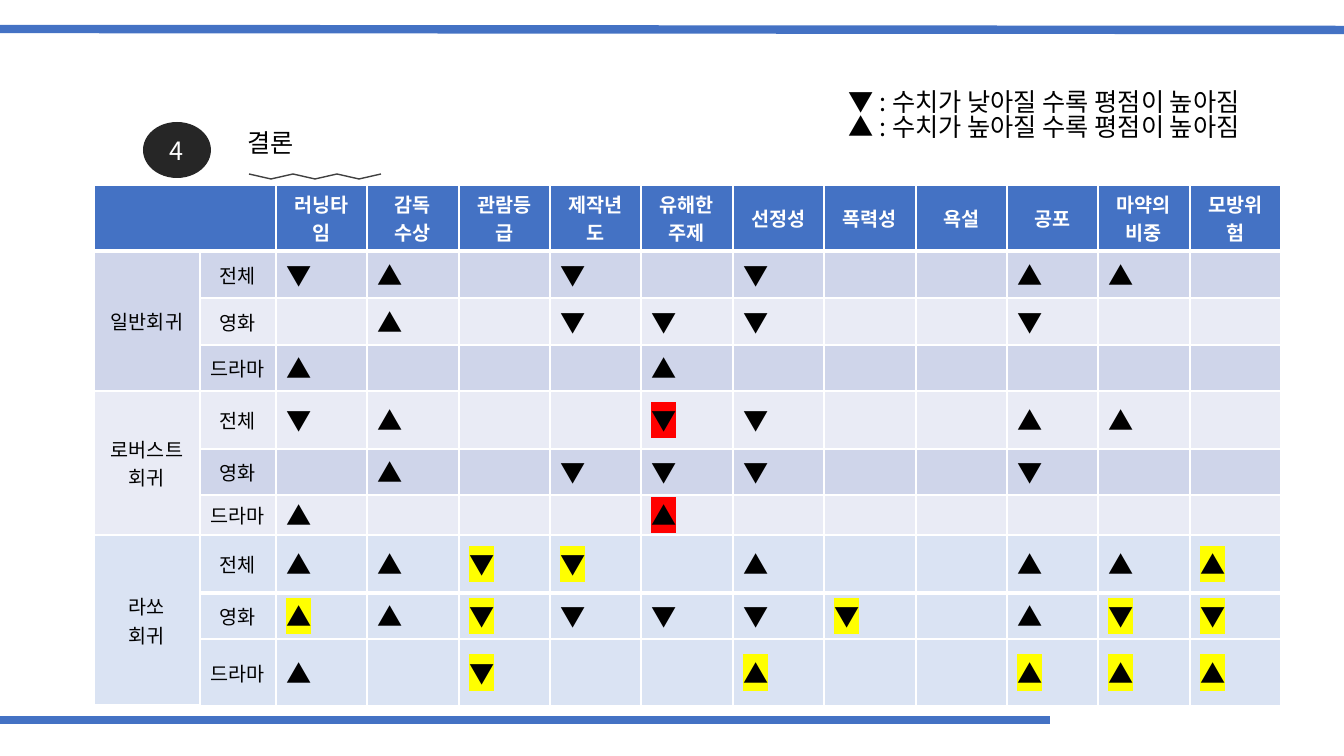
from dataclasses import dataclass

from lxml.etree import SubElement
from pptx import Presentation
from pptx.dml.color import RGBColor
from pptx.enum.shapes import MSO_CONNECTOR, MSO_SHAPE
from pptx.enum.text import MSO_ANCHOR, PP_ALIGN
from pptx.oxml.ns import qn
from pptx.util import Emu, Pt

# Content
SECTION_NUMBER = "4"
SECTION_TITLE = "결론"
LEGEND = "▼ : 수치가 낮아질 수록 평점이 높아짐\n▲ : 수치가 높아질 수록 평점이 높아짐"
FACTORS = ["러닝타임", "감독\n수상", "관람등급", "제작년도", "유해한 주제", "선정성",
           "폭력성", "욕설", "공포", "마약의 비중", "모방위험"]
# Each line: sample, one mark per factor ("-" is empty), highlighted factors
GENERAL = ("일반회귀", [
    ("전체", "▼▲-▼-▼--▲▲-", ()),
    ("영화", "-▲-▼▼▼--▼--", ()),
    ("드라마", "▲---▲------", ()),
])
ROBUST = ("로버스트회귀", [
    ("전체", "▼▲--▼▼--▲▲-", (4,)),
    ("영화", "-▲-▼▼▼--▼--", ()),
    ("드라마", "▲---▲------", (4,)),
])
LASSO = ("라쏘\n회귀", [
    ("전체", "▲▲▼▼-▲--▲▲▲", (2, 3, 10)),
    ("영화", "▲▲▼▼▼▼▼-▲▼▼", (0, 2, 6, 9, 10)),
    ("드라마", "▲-▼--▲--▲▲▲", (2, 5, 8, 9, 10)),
])


@dataclass(frozen=True)
class Theme:
    font: str = "Noto Sans CJK KR"
    accent: str = "4472C4"
    badge: str = "262626"
    zigzag: str = "404040"
    text: str = "000000"
    white: str = "FFFFFF"
    bands: tuple = ("CFD5EA", "E9EBF5")
    lasso: str = "DAE3F3"
    red: str = "FF0000"
    yellow: str = "FFFF00"
    large: int = 18
    small: int = 14


THEME = Theme()

# Layout in px
WIDTH, HEIGHT = 1344, 756
TABLE_LEFT, TABLE_TOP = 94, 185
FACTORS_LEFT, FACTORS_WIDTH = 276, 1005
COLUMN_EDGES = [TABLE_LEFT, 200] + [
    FACTORS_LEFT + round(i * FACTORS_WIDTH / len(FACTORS)) for i in range(len(FACTORS) + 1)]
COLUMN_WIDTHS = [b - a for a, b in zip(COLUMN_EDGES, COLUMN_EDGES[1:])]
MAIN_ROWS = [66, 47, 47, 46, 58, 46, 40]
LASSO_ROWS = [58, 46, 67]


def px(length):
    return Emu(round(length * 914400 / 100.8))


def rgb(code):
    return RGBColor.from_string(code)


def write(frame, text, size=THEME.large, color=THEME.text, bold=False,
          align=PP_ALIGN.LEFT, spacing=None, highlight=None):
    for i, line in enumerate(text.split("\n")):
        paragraph = frame.add_paragraph() if i else frame.paragraphs[0]
        paragraph.alignment = align
        if spacing:
            paragraph.line_spacing = spacing
        run = paragraph.add_run()
        run.text = line
        run.font.size = Pt(size)
        run.font.bold = bold
        run.font.color.rgb = rgb(color)
        run.font.name = THEME.font
        properties = run.font._element
        SubElement(properties, qn("a:ea")).set("typeface", THEME.font)
        if highlight:
            marker = SubElement(properties, qn("a:highlight"))
            SubElement(marker, qn("a:srgbClr")).set("val", highlight)
            properties.find(qn("a:solidFill")).addnext(marker)


def draw_line(slide, start, end, color, weight):
    line = slide.shapes.add_connector(MSO_CONNECTOR.STRAIGHT, *map(px, start + end))
    line.line.color.rgb = rgb(color)
    line.line.width = Pt(weight)
    SubElement(line._element.spPr, qn("a:effectLst"))


def style_cell(cell, fill, top=1, bottom=1):
    properties = cell._tc.get_or_add_tcPr()
    for side, weight in (("L", 1), ("R", 1), ("T", top), ("B", bottom)):
        border = SubElement(properties, qn("a:ln" + side), w=str(Pt(weight)))
        color = SubElement(SubElement(border, qn("a:solidFill")), qn("a:srgbClr"))
        color.set("val", THEME.white)
    cell.fill.solid()
    cell.fill.fore_color.rgb = rgb(fill)
    cell.vertical_anchor = MSO_ANCHOR.MIDDLE
    cell.margin_top = cell.margin_bottom = px(1)


def add_grid(slide, top, heights, fills):
    """Add a styled table whose first row ends in a thick rule."""
    table = slide.shapes.add_table(
        len(heights), len(COLUMN_WIDTHS), px(TABLE_LEFT), px(top),
        px(sum(COLUMN_WIDTHS)), px(sum(heights))).table
    for column, width in zip(table.columns, COLUMN_WIDTHS):
        column.width = px(width)
    for r, (height, fill) in enumerate(zip(heights, fills)):
        table.rows[r].height = px(height)
        for cell in table.rows[r].cells:
            style_cell(cell, fill, 3 if r == 1 else 1, 3 if r == 0 else 1)
    return table


def fill_group(table, first_row, group, highlight, bold_first=False):
    method, samples = group
    table.cell(first_row, 0).merge(table.cell(first_row + len(samples) - 1, 0))
    write(table.cell(first_row, 0).text_frame, method, size=THEME.small,
          align=PP_ALIGN.CENTER)
    for i, (sample, marks, highlighted) in enumerate(samples):
        row = first_row + i
        write(table.cell(row, 1).text_frame, sample, size=THEME.small,
              align=PP_ALIGN.CENTER)
        for factor, mark in enumerate(marks):
            if mark != "-":
                write(table.cell(row, factor + 2).text_frame, mark,
                      bold=bold_first and i == 0,
                      highlight=highlight if factor in highlighted else None)


def main():
    deck = Presentation()
    deck.slide_width, deck.slide_height = px(WIDTH), px(HEIGHT)
    slide = deck.slides.add_slide(deck.slide_layouts[5])

    # Title
    title = slide.shapes.title
    title.left, title.top, title.width, title.height = map(px, (237, 122, 737, 40))
    title.text_frame.vertical_anchor = MSO_ANCHOR.TOP
    title.text_frame.word_wrap = True
    write(title.text_frame, SECTION_TITLE)

    # Rules, number badge and zigzag
    draw_line(slide, (0, 29), (WIDTH, 30), THEME.accent, 6)
    draw_line(slide, (0, 720), (1050, 720), THEME.accent, 6)
    badge = slide.shapes.add_shape(MSO_SHAPE.OVAL, *map(px, (143, 122, 68, 56)))
    badge.shadow.inherit = False
    badge.fill.solid()
    badge.fill.fore_color.rgb = rgb(THEME.badge)
    badge.line.fill.background()
    badge.text_frame.vertical_anchor = MSO_ANCHOR.MIDDLE
    write(badge.text_frame, SECTION_NUMBER, color=THEME.white, align=PP_ALIGN.CENTER)
    peaks = [(249 + 22 * i, 179 if i % 2 else 174) for i in range(7)]
    for start, end in zip(peaks, peaks[1:]):
        draw_line(slide, start, end, THEME.zigzag, 1)

    # Main table
    main_fills = [THEME.accent] + [THEME.bands[i % 2] for i in range(6)]
    results = add_grid(slide, TABLE_TOP, MAIN_ROWS, main_fills)
    results.cell(0, 0).merge(results.cell(0, 1))
    for column, factor in enumerate(FACTORS, 2):
        write(results.cell(0, column).text_frame, factor, size=THEME.small,
              color=THEME.white, bold=True, align=PP_ALIGN.CENTER)
    fill_group(results, 1, GENERAL, THEME.red)
    fill_group(results, 4, ROBUST, THEME.red)

    # Lasso table
    lasso = add_grid(slide, TABLE_TOP + sum(MAIN_ROWS), LASSO_ROWS, [THEME.lasso] * 3)
    fill_group(lasso, 0, LASSO, THEME.yellow, bold_first=True)

    # Legend
    legend = slide.shapes.add_textbox(*map(px, (839, 87, 474, 102)))
    legend.text_frame.word_wrap = True
    write(legend.text_frame, LEGEND, spacing=0.82)

    deck.save("out.pptx")


if __name__ == "__main__":
    main()
